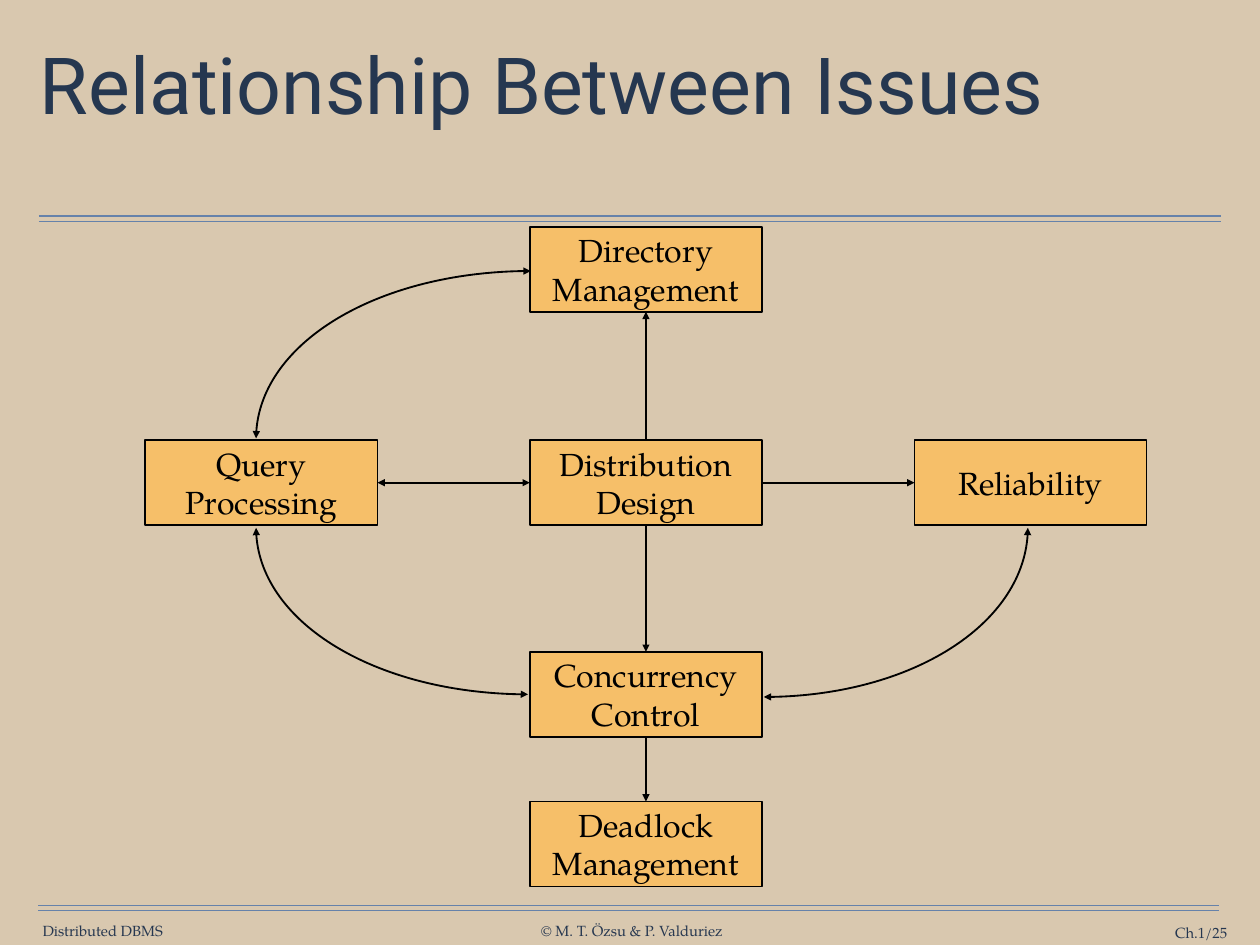
from dataclasses import dataclass

from lxml.etree import SubElement
from pptx import Presentation
from pptx.dml.color import RGBColor
from pptx.enum.shapes import MSO_CONNECTOR as CXN, MSO_SHAPE as SHAPE
from pptx.enum.text import MSO_ANCHOR as ANCHOR, PP_ALIGN as ALIGN
from pptx.oxml.ns import qn
from pptx.util import Inches, Pt

COLORS = {
    "background": "D9C8AF",
    "rule": "6682AA",
    "title": "253750",
    "footer": "263750",
    "box": "F6BF69",
    "ink": "000000",
}
SERIF = "TeX Gyre Pagella"
BOX_W, BOX_H = 2.62, 0.96
LEFT_X, MID_X, RIGHT_X = 1.64, 5.98, 10.32
TOP, BOTTOM, LEFT, RIGHT = 0, 2, 1, 3
BEZIER_ARC = 0.55


@dataclass(frozen=True)
class Issue:
    name: str
    x: float
    y: float


@dataclass(frozen=True)
class Link:
    start: str
    start_side: int
    end: str
    end_side: int
    both_ways: bool = False


@dataclass(frozen=True)
class Curve:
    """Quarter ellipse, vertical at (x1, y1) and horizontal at (x2, y2)."""
    x1: float
    y1: float
    x2: float
    y2: float


@dataclass(frozen=True)
class Footer:
    text: str
    x: float
    y: float
    width: float
    align: ALIGN
    wrap: bool = False


ISSUES = [
    Issue("Directory\nManagement", MID_X, 2.56),
    Issue("Query\nProcessing", LEFT_X, 4.97),
    Issue("Distribution\nDesign", MID_X, 4.97),
    Issue("Reliability", RIGHT_X, 4.97),
    Issue("Concurrency\nControl", MID_X, 7.36),
    Issue("Deadlock\nManagement", MID_X, 9.05),
]
LINKS = [
    Link("Distribution", TOP, "Directory", BOTTOM),
    Link("Distribution", BOTTOM, "Concurrency", TOP),
    Link("Concurrency", BOTTOM, "Deadlock", TOP),
    Link("Distribution", RIGHT, "Reliability", LEFT),
    Link("Query", RIGHT, "Distribution", LEFT, both_ways=True),
]
CURVES = [
    Curve(2.89, 4.95, 5.99, 3.06),
    Curve(2.89, 5.96, 5.96, 7.84),
    Curve(11.6, 5.96, 8.62, 7.87),
]
FOOTERS = [
    Footer("Distributed DBMS", 0.47, 10.41, 1.38, ALIGN.CENTER),
    Footer("© M. T. Özsu & P. Valduriez", 6.09, 10.41, 2.08, ALIGN.CENTER),
    Footer("Ch.1/25", 12.31, 10.43, 1.54, ALIGN.RIGHT, wrap=True),
]


def rgb(name: str) -> RGBColor:
    return RGBColor.from_string(COLORS[name])


def set_font(p, face: str, size: float, color: str) -> None:
    p.font.name, p.font.size = face, Pt(size)
    p.font.color.rgb = rgb(color)


def set_margins(tf, x: float, y: float) -> None:
    tf.margin_left = tf.margin_right = Inches(x)
    tf.margin_top = tf.margin_bottom = Inches(y)


def set_line(s, color: str, width: float) -> None:
    s.line.color.rgb = rgb(color)
    s.line.width = Pt(width)


def add_arrowheads(s, both_ways: bool) -> None:
    ln = s.element.spPr.find(qn("a:ln"))
    for end in ("a:headEnd", "a:tailEnd") if both_ways else ("a:tailEnd",):
        SubElement(ln, qn(end), type="triangle")


def add_line(slide, x1: float, y1: float, x2: float, y2: float,
             color: str, width: float):
    s = slide.shapes.add_connector(
        CXN.STRAIGHT, Inches(x1), Inches(y1), Inches(x2), Inches(y2))
    set_line(s, color, width)
    SubElement(s.element.spPr, qn("a:effectLst"))
    return s


def add_footer(slide, footer: Footer) -> None:
    s = slide.shapes.add_textbox(Inches(footer.x), Inches(footer.y),
                                 Inches(footer.width), Inches(0.2))
    tf = s.text_frame
    tf.word_wrap, tf.vertical_anchor = footer.wrap, ANCHOR.MIDDLE
    set_margins(tf, 0, 0)
    p = tf.paragraphs[0]
    p.text, p.alignment = footer.text, footer.align
    set_font(p, SERIF, 12, "footer")


def add_issue(slide, issue: Issue):
    s = slide.shapes.add_shape(SHAPE.RECTANGLE, Inches(issue.x), Inches(issue.y),
                               Inches(BOX_W), Inches(BOX_H))
    s.shadow.inherit = False
    s.fill.solid()
    s.fill.fore_color.rgb = rgb("box")
    set_line(s, "ink", 1.5)
    tf = s.text_frame
    tf.text = issue.name
    tf.word_wrap, tf.vertical_anchor = False, ANCHOR.MIDDLE
    set_margins(tf, 0.14, 0.07)
    for p in tf.paragraphs:
        p.alignment = ALIGN.CENTER
        set_font(p, SERIF, 26, "ink")
    return s


def add_link(slide, link: Link, boxes: dict) -> None:
    s = add_line(slide, 0, 0, 1, 1, "ink", 1.5)
    s.begin_connect(boxes[link.start], link.start_side)
    s.end_connect(boxes[link.end], link.end_side)
    add_arrowheads(s, link.both_ways)


def add_curve(slide, c: Curve) -> None:
    points = [
        (c.x1, c.y1 + BEZIER_ARC * (c.y2 - c.y1)),
        (c.x2 - BEZIER_ARC * (c.x2 - c.x1), c.y2),
        (c.x2, c.y2),
    ]
    fb = slide.shapes.build_freeform(Inches(c.x1), Inches(c.y1))
    fb.add_line_segments([(Inches(x), Inches(y)) for x, y in points], close=False)
    s = fb.convert_to_shape()
    s.shadow.inherit = False
    s.fill.background()
    set_line(s, "ink", 1.5)
    add_arrowheads(s, both_ways=True)
    # Turn the three segments into one Bézier curve
    outline = s.element.spPr.find(".//" + qn("a:path"))
    segments = outline.findall(qn("a:lnTo"))
    bezier = SubElement(outline, qn("a:cubicBezTo"))
    for segment in segments:
        bezier.append(segment[0])
        outline.remove(segment)


def main() -> None:
    prs = Presentation()
    prs.slide_width, prs.slide_height = Inches(14.22), Inches(10.67)
    slide = prs.slides.add_slide(prs.slide_layouts[5])
    slide.background.fill.solid()
    slide.background.fill.fore_color.rgb = rgb("background")

    # Double rules above and below the diagram
    for x, y, width in ((0.44, 2.44, 13.34), (0.43, 10.22, 13.33)):
        for dy in (0, 0.06):
            add_line(slide, x, y + dy, x + width, y + dy, "rule", 1)

    # Title
    title = slide.shapes.title
    title.left, title.top = Inches(0.39), Inches(0.49)
    title.width, title.height = Inches(13.44), Inches(1.76)
    tf = title.text_frame
    tf.word_wrap, tf.vertical_anchor = True, ANCHOR.TOP
    set_margins(tf, 0.06, 0.06)
    p = tf.paragraphs[0]
    p.text, p.alignment = "Relationship Between Issues", ALIGN.LEFT
    p.line_spacing = 0.87
    set_font(p, "Roboto", 64, "title")

    # Footer
    for footer in FOOTERS:
        add_footer(slide, footer)

    # Diagram
    boxes = {issue.name.split("\n")[0]: add_issue(slide, issue) for issue in ISSUES}
    for link in LINKS:
        add_link(slide, link, boxes)
    for curve in CURVES:
        add_curve(slide, curve)

    prs.save("out.pptx")


if __name__ == "__main__":
    main()
